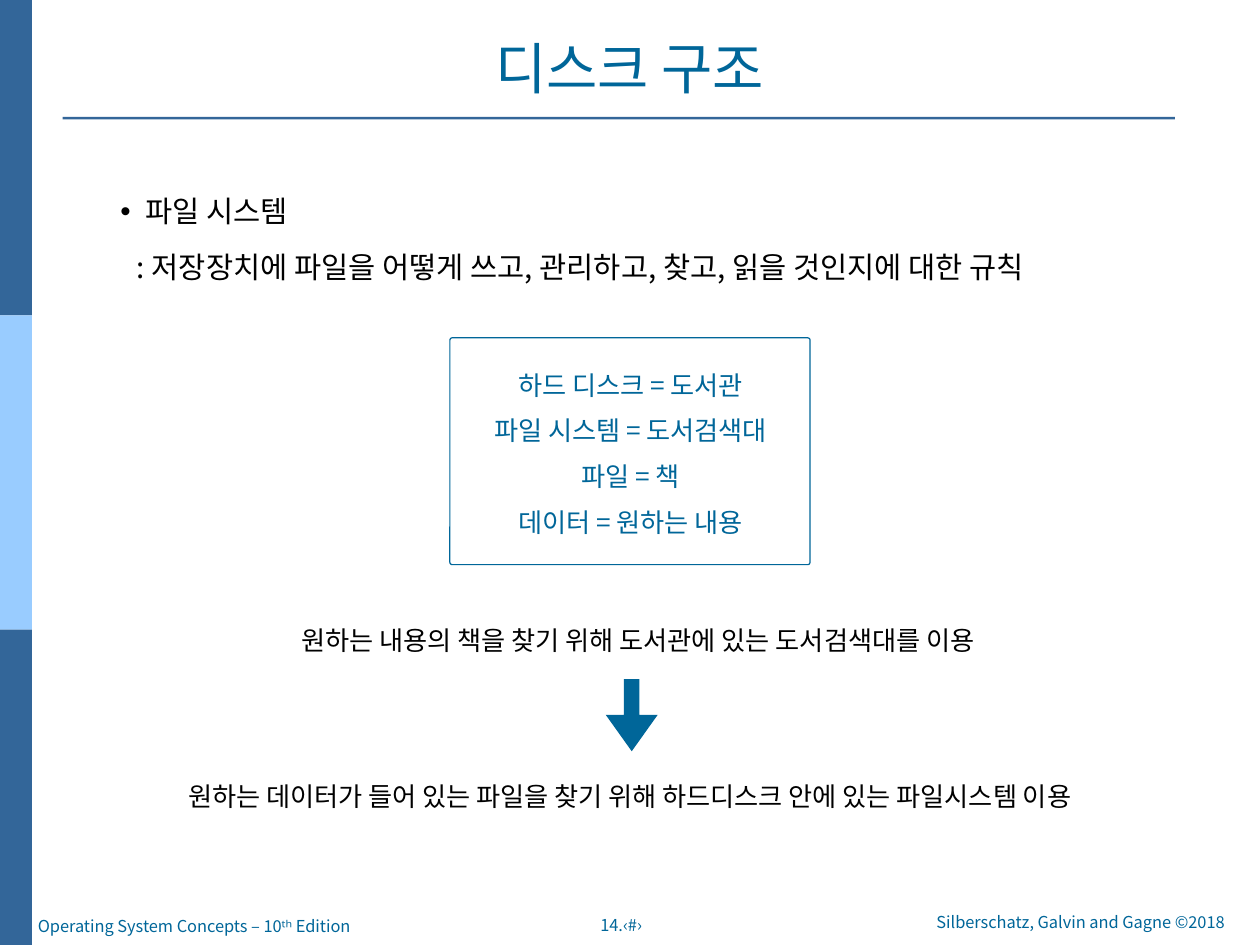
from lxml.etree import SubElement
from pptx import Presentation
from pptx.dml.color import RGBColor
from pptx.enum.shapes import MSO_SHAPE
from pptx.enum.text import MSO_ANCHOR, MSO_AUTO_SIZE, PP_ALIGN
from pptx.oxml.ns import qn
from pptx.util import Pt

PX = 9144  # 100 px to the inch
FONT = "Noto Sans CJK KR"
NAVY = RGBColor(0x33, 0x66, 0x99)
SKY = RGBColor(0x99, 0xCC, 0xFF)
TEAL = RGBColor(0x00, 0x66, 0x99)
BLACK = RGBColor(0x00, 0x00, 0x00)

ANALOGIES = [
    "하드 디스크 = 도서관",
    "파일 시스템 = 도서검색대",
    "파일 = 책",
    "데이터 = 원하는 내용",
]


def px(*lengths):
    return [length * PX for length in lengths]


def prepare_frame(shape):
    frame = shape.text_frame
    frame.word_wrap = True
    frame.auto_size = MSO_AUTO_SIZE.NONE
    frame.vertical_anchor = MSO_ANCHOR.TOP
    frame.margin_left = frame.margin_top = 0
    frame.margin_right = frame.margin_bottom = 0
    return frame


def set_indent(paragraph, left, first, bullet):
    properties = paragraph._p.get_or_add_pPr()
    properties.set("marL", str(left * PX))
    properties.set("indent", str(first * PX))
    if bullet:
        SubElement(properties, qn("a:buFont"), typeface="Arial")
        SubElement(properties, qn("a:buChar"), char=bullet)
    else:
        SubElement(properties, qn("a:buNone"))


def write(paragraph, text, size=16, color=TEAL, align=PP_ALIGN.CENTER,
          line=12, before=0):
    paragraph.alignment = align
    paragraph.line_spacing = Pt(line)
    paragraph.space_before = Pt(before)
    paragraph.space_after = Pt(0)
    run = paragraph.add_run()
    run.text = text
    run.font.size = Pt(size)
    run.font.name = FONT
    run.font.color.rgb = color
    SubElement(run.font._element, qn("a:ea"), typeface=FONT)


def add_text(slide, box, lines, **text_format):
    frame = prepare_frame(slide.shapes.add_textbox(*px(*box)))
    for index, text in enumerate(lines):
        paragraph = frame.add_paragraph() if index else frame.paragraphs[0]
        write(paragraph, text, **text_format)


def add_shape(slide, kind, box, fill=None, line=None, adjustments=()):
    shape = slide.shapes.add_shape(kind, *px(*box))
    shape.shadow.inherit = False
    for index, value in enumerate(adjustments):
        shape.adjustments[index] = value
    if fill is None:
        shape.fill.background()
    else:
        shape.fill.solid()
        shape.fill.fore_color.rgb = fill
    if line is None:
        shape.line.fill.background()
    else:
        shape.line.color.rgb = line
        shape.line.width = Pt(0.75)


def place(shape, box):
    shape.left, shape.top, shape.width, shape.height = px(*box)


def fill_title(slide):
    title = slide.shapes.title
    place(title, (63, 30, 940, 59))
    write(prepare_frame(title).paragraphs[0], "디스크 구조", size=34, line=40)


def fill_body(slide):
    body = slide.placeholders[1]
    place(body, (80, 149, 917, 90))
    frame = prepare_frame(body)
    text_format = dict(size=18, color=BLACK, align=PP_ALIGN.LEFT, line=32)

    topic = frame.paragraphs[0]
    set_indent(topic, 43, -21, "•")
    write(topic, "파일 시스템", **text_format)

    definition = frame.add_paragraph()
    set_indent(definition, 36, 0, None)
    write(definition,
          ": 저장장치에 파일을 어떻게 쓰고, 관리하고, 찾고, 읽을 것인지에 대한 규칙",
          before=2, **text_format)


def main():
    presentation = Presentation()
    presentation.slide_width, presentation.slide_height = px(1067, 800)
    slide = presentation.slides.add_slide(presentation.slide_layouts[1])

    # Side bands and title rule
    for index, color in enumerate((NAVY, SKY, NAVY)):
        top, bottom = round(index * 800 / 3), round((index + 1) * 800 / 3)
        add_shape(slide, MSO_SHAPE.RECTANGLE, (0, top, 27, bottom - top), color)
    add_shape(slide, MSO_SHAPE.RECTANGLE, (53, 99, 942, 2), NAVY)

    # Title and definition
    fill_title(slide)
    fill_body(slide)

    # Library analogy
    add_shape(slide, MSO_SHAPE.ROUNDED_RECTANGLE, (381, 286, 305, 192),
              line=TEAL, adjustments=[0.01])
    add_text(slide, (410, 300, 248, 153), ANALOGIES, line=28)

    # From the library to the file system
    add_text(slide, (214, 515, 653, 38),
             ["원하는 내용의 책을 찾기 위해 도서관에 있는 도서검색대를 이용"],
             color=BLACK, line=29)
    add_shape(slide, MSO_SHAPE.DOWN_ARROW, (513, 575, 44, 61), TEAL,
              adjustments=[0.3, 0.7])
    add_text(slide, (124, 647, 819, 38),
             ["원하는 데이터가 들어 있는 파일을 찾기 위해 하드디스크 안에 있는 파일시스템 이용"],
             color=BLACK, line=29)

    # Footer
    add_text(slide, (32, 776, 299, 17),
             ["Operating System Concepts – 10ᵗʰ Edition"],
             size=10, align=PP_ALIGN.LEFT)
    add_text(slide, (502, 775, 48, 17), ["14.‹#›"], size=10)
    add_text(slide, (767, 772, 296, 17),
             ["Silberschatz, Galvin and Gagne ©2018"], size=10)

    presentation.save("out.pptx")


if __name__ == "__main__":
    main()
